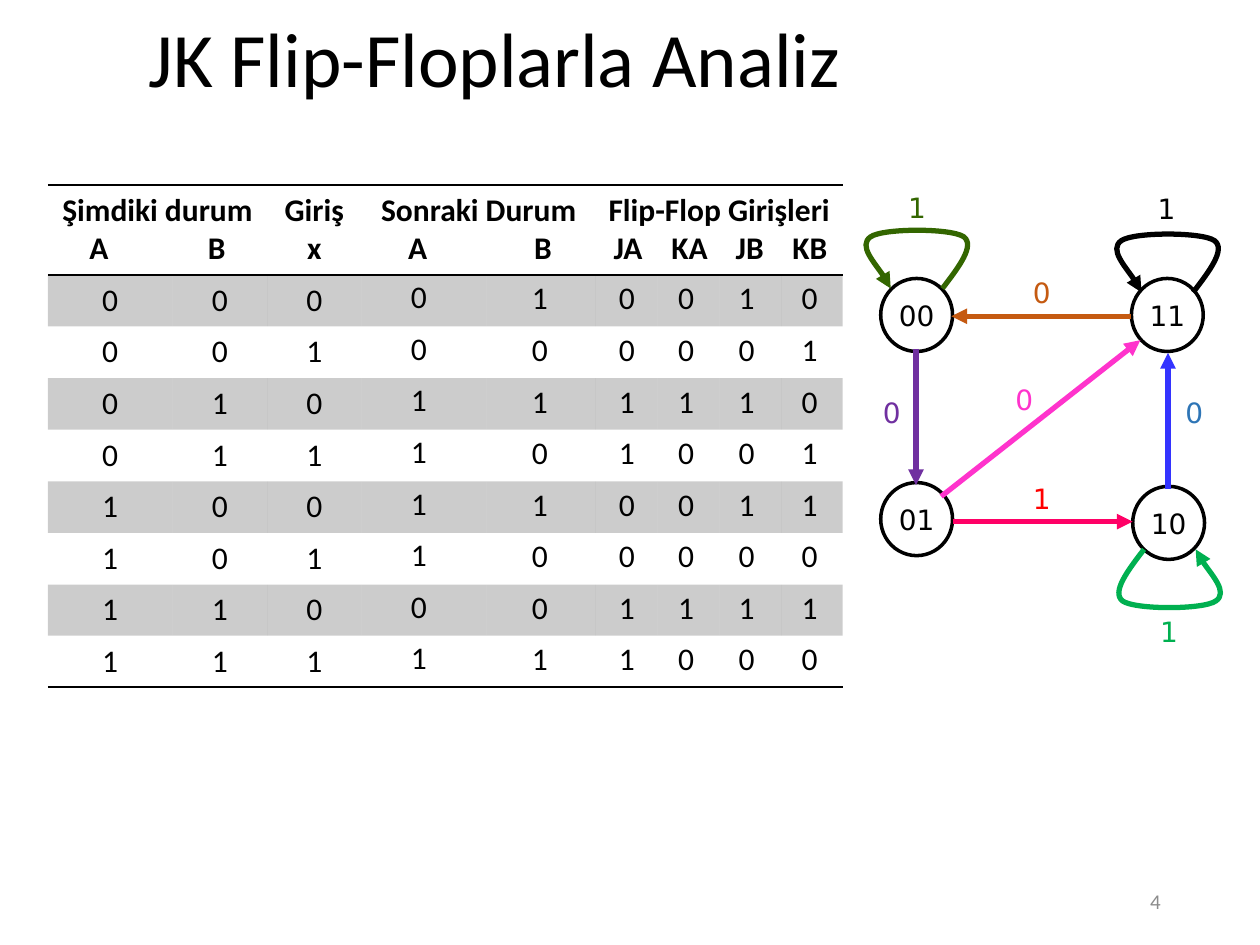
from lxml import etree
from pptx import Presentation
from pptx.dml.color import RGBColor
from pptx.enum.shapes import MSO_CONNECTOR, MSO_SHAPE
from pptx.enum.text import MSO_ANCHOR, MSO_AUTO_SIZE, PP_ALIGN
from pptx.oxml.ns import qn
from pptx.util import Inches, Pt

LEFT, CENTER, RIGHT = PP_ALIGN.LEFT, PP_ALIGN.CENTER, PP_ALIGN.RIGHT
MIDDLE, TOP = MSO_ANCHOR.MIDDLE, MSO_ANCHOR.TOP
NO_AUTOFIT = MSO_AUTO_SIZE.NONE
ELLIPSE, STRAIGHT = MSO_SHAPE.OVAL, MSO_CONNECTOR.STRAIGHT
PLAIN_TABLE = "{2D5ABB26-0587-4C30-8999-92F81FD0307C}"
TITLE_ONLY = 5

COLORS = {
    "black": "000000", "gray": "8C8C8C", "orange": "C55A11", "steel": "2E75B6",
    "purple": "7030A0", "crimson": "FF0066", "red": "FF0000", "olive": "336600",
    "green": "00B050", "blue": "3333FF", "pink": "FF33CC",
}

COLUMN_WIDTHS = [0.99, 0.75, 0.75, 0.99, 0.87, 0.49, 0.49, 0.49, 0.49]
ROW_HEIGHTS = [0.41] * 6 + [0.4] * 2
HEADERS = [
    (0, 1, "Şimdiki durum", "\tA\tB", [0.23, 1.17]),
    (2, 2, "Giriş", "x", []),
    (3, 4, "Sonraki Durum", "\tA\tB", [0.27, 1.27]),
    (5, 8, "Flip-Flop Girişleri", "\tJA\tKA\tJB\tKB", [0.04, 0.5, 1.01, 1.46]),
]
INPUT_STATES = ["000", "001", "010", "011", "100", "101", "110", "111"]
RESULT_COLUMNS = [
    (4.75, 2.17, "00110011"), (6.2, 2.17, "01011010"), (5.22, 2.17, "00100010"),
    (5.7, 2.17, "10101010"), (3.1, 2.16, "00111101"), (4.06, 2.17, "10101001"),
]
STATES = [("00", 6.99, 2.21), ("11", 8.98, 2.21), ("10", 8.99, 3.86), ("01", 6.99, 3.83)]
TRANSITIONS = [
    (8.98, 2.51, 7.55, 2.51, "orange"), (7.27, 2.77, 7.27, 3.85, "purple"),
    (7.56, 4.14, 8.99, 4.14, "crimson"), (9.27, 3.88, 9.27, 2.8, "blue"),
    (7.47, 3.94, 9.05, 2.7, "pink"),
]
LOOPS = [(7.48, 2.29, 1, "olive"), (9.47, 2.32, 1, "black"), (9.08, 4.36, -1, "green")]
LOOP_CURVE = [
    (0.13, -0.17), (0.26, -0.34), (0.17, -0.41),
    (0.07, -0.48), (-0.47, -0.48), (-0.57, -0.41),
    (-0.67, -0.34), (-0.43, -0.07), (-0.41, 0),
]
LABELS = [
    ("0", 8.1, 2.14, "orange"), ("0", 9.31, 3.09, "steel"), ("1", 8.1, 3.77, "red"),
    ("1", 7.11, 1.46, "olive"), ("1", 9.09, 1.47, "black"), ("0", 7.96, 2.99, "pink"),
    ("0", 6.91, 3.09, "purple"), ("1", 9.11, 4.83, "green"),
]


def rgb(name):
    return RGBColor.from_string(COLORS[name])


def write(paragraph, text, size=18, font="Calibri", color="black", bold=False, align=CENTER):
    paragraph.alignment = align
    run = paragraph.add_run()
    run.text = text
    run.font.size = Pt(size)
    run.font.name = font
    run.font.bold = bold
    run.font.color.rgb = rgb(color)


def add_text_box(slide, text, left, top, width, height, anchor=TOP, wrap=False, **text_format):
    shape = slide.shapes.add_textbox(*map(Inches, (left, top, width, height)))
    shape.text_frame.word_wrap = wrap
    shape.text_frame.vertical_anchor = anchor
    write(shape.text_frame.paragraphs[0], text, **text_format)


def add_title(slide, text):
    title = slide.shapes.title
    title.left, title.top, title.width, title.height = map(Inches, (1.08, 0.08, 8.69, 0.83))
    title.text_frame.auto_size = NO_AUTOFIT
    title.text_frame.vertical_anchor = MIDDLE
    paragraph = title.text_frame.paragraphs[0]
    paragraph.line_spacing = 0.9
    write(paragraph, text, size=44, align=LEFT)


def add_plain_table(slide, left, top, widths, heights):
    frame = slide.shapes.add_table(
        len(heights), len(widths), Inches(left), Inches(top),
        Inches(sum(widths)), Inches(sum(heights)))
    table = frame.table
    table.first_row = table.horz_banding = False
    table._tbl.tblPr.find(qn("a:tableStyleId")).text = PLAIN_TABLE
    for column, width in zip(table.columns, widths):
        column.width = Inches(width)
    for row, height in zip(table.rows, heights):
        row.height = Inches(height)
    for cell in table.iter_cells():
        cell.fill.background()
    return table


def shade(cell):
    cell.fill.solid()
    cell.fill.fore_color.rgb = rgb("black")
    color = cell._tc.tcPr.find(qn("a:solidFill"))[0]
    etree.SubElement(color, qn("a:alpha"), val="20000")


def add_borders(row, *sides):
    for cell in row.cells:
        for position, side in enumerate(sides):
            line = etree.Element(qn(f"a:{side}"), w=str(Pt(1)))
            fill = etree.SubElement(line, qn("a:solidFill"))
            etree.SubElement(fill, qn("a:srgbClr"), val=COLORS["black"])
            cell._tc.get_or_add_tcPr().insert(position, line)


def add_tab_stops(paragraph, positions):
    tab_list = etree.SubElement(paragraph._p.get_or_add_pPr(), qn("a:tabLst"))
    for position in positions:
        etree.SubElement(tab_list, qn("a:tab"), pos=str(Inches(position)), algn="l")


def add_state_table(slide):
    table = add_plain_table(slide, 0.38, 1.47, COLUMN_WIDTHS, [0.7] + ROW_HEIGHTS)
    for first, last, heading, names, stops in HEADERS:
        cell = table.cell(0, first)
        if last > first:
            cell.merge(table.cell(0, last))
        write(cell.text_frame.paragraphs[0], heading, bold=True)
        paragraph = cell.text_frame.add_paragraph()
        write(paragraph, names, bold=True, align=LEFT if stops else CENTER)
        if stops:
            add_tab_stops(paragraph, stops)
    for row, values in enumerate(INPUT_STATES, start=1):
        for column, value in enumerate(values):
            write(table.cell(row, column).text_frame.paragraphs[0], value)
        if row % 2:
            for cell in table.rows[row].cells:
                shade(cell)
    add_borders(table.rows[0], "lnT", "lnB")
    add_borders(table.rows[len(INPUT_STATES)], "lnB")


def add_result_column(slide, left, top, values):
    table = add_plain_table(slide, left, top, [0.45], ROW_HEIGHTS)
    for row, value in enumerate(values):
        write(table.cell(row, 0).text_frame.paragraphs[0], value)


def add_state(slide, name, left, top):
    shape = slide.shapes.add_shape(ELLIPSE, *map(Inches, (left, top, 0.57, 0.58)))
    shape.shadow.inherit = False
    shape.fill.background()
    shape.line.color.rgb = rgb("black")
    shape.line.width = Pt(2)
    frame = shape.text_frame
    frame.word_wrap = False
    frame.vertical_anchor = MIDDLE
    write(frame.paragraphs[0], name, size=16, font="DejaVu Sans")


def style_arrow(shape, color):
    shape.line.color.rgb = rgb(color)
    shape.line.width = Pt(3)
    etree.SubElement(shape.line._get_or_add_ln(), qn("a:tailEnd"), type="triangle")


def add_transition(slide, start_x, start_y, end_x, end_y, color):
    connector = slide.shapes.add_connector(
        STRAIGHT, *map(Inches, (start_x, start_y, end_x, end_y)))
    style_arrow(connector, color)
    etree.SubElement(connector._element.spPr, qn("a:effectLst"))


def add_loop(slide, x, y, direction, color):
    builder = slide.shapes.build_freeform(Inches(x), Inches(y))
    builder.add_line_segments(
        [(Inches(x + direction * dx), Inches(y + direction * dy)) for dx, dy in LOOP_CURVE],
        close=False)
    shape = builder.convert_to_shape()
    segments = list(shape._element.iter(qn("a:lnTo")))
    for index in range(0, len(segments), 3):
        curve = etree.SubElement(segments[index].getparent(), qn("a:cubicBezTo"))
        for segment in segments[index:index + 3]:
            curve.append(segment[0])
            segment.getparent().remove(segment)
    shape.shadow.inherit = False
    shape.fill.background()
    style_arrow(shape, color)


def main():
    presentation = Presentation()
    presentation.slide_width, presentation.slide_height = Inches(10), Inches(7.5)
    slide = presentation.slides.add_slide(presentation.slide_layouts[TITLE_ONLY])
    add_title(slide, "JK Flip-Floplarla Analiz")
    add_state_table(slide)
    for result_column in RESULT_COLUMNS:
        add_result_column(slide, *result_column)
    for state in STATES:
        add_state(slide, *state)
    for transition in TRANSITIONS:
        add_transition(slide, *transition)
    for loop in LOOPS:
        add_loop(slide, *loop)
    for text, left, top, color in LABELS:
        add_text_box(slide, text, left, top, 0.34, 0.37,
                     size=16, font="DejaVu Sans", color=color, align=LEFT)
    add_text_box(slide, "4", 7.06, 6.95, 2.25, 0.4, anchor=MIDDLE, wrap=True,
                 size=12, color="gray", align=RIGHT)
    presentation.save("out.pptx")


if __name__ == "__main__":
    main()
